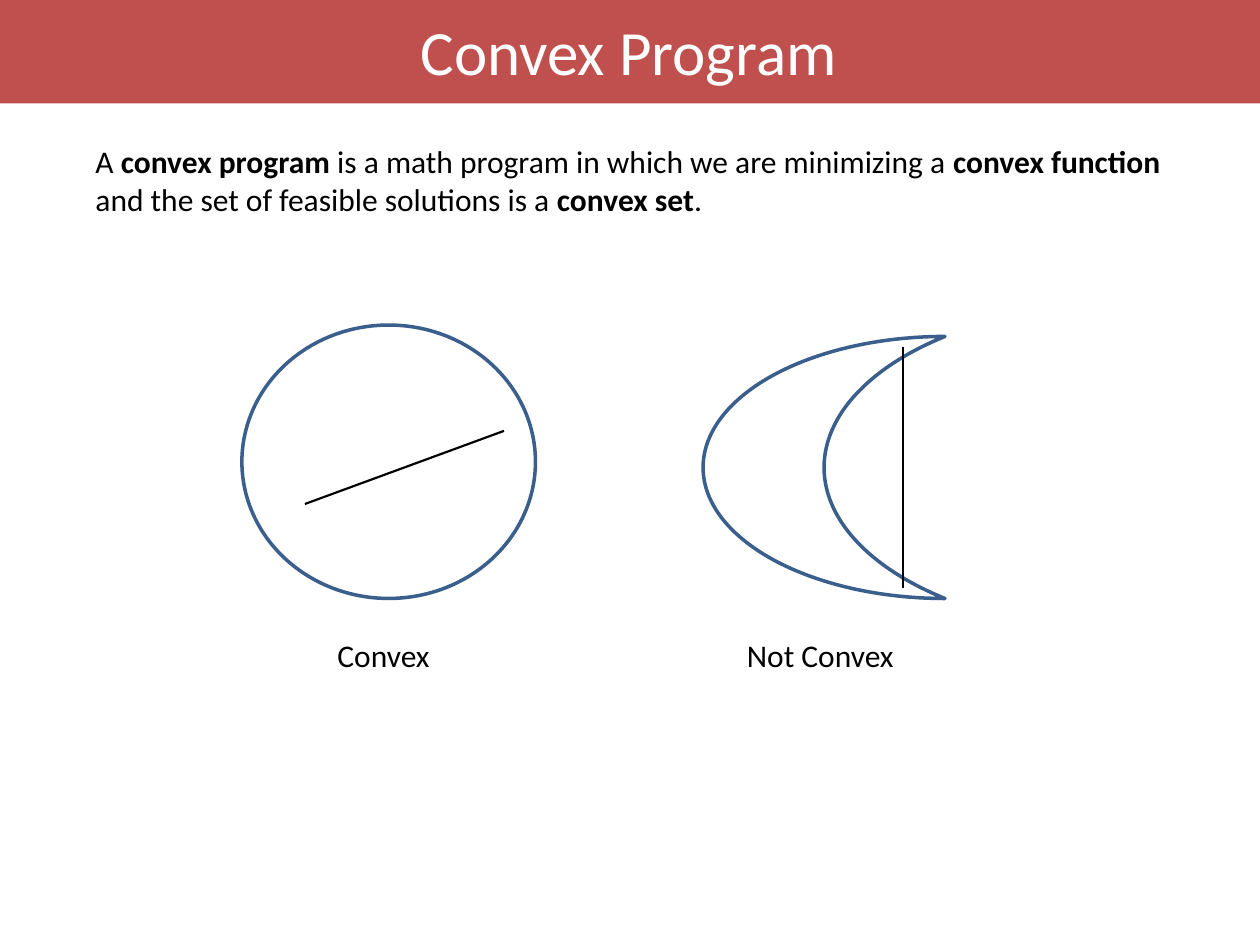
from lxml import etree
from pptx import Presentation
from pptx.dml.color import RGBColor
from pptx.enum import shapes, text
from pptx.oxml.ns import qn
from pptx.util import Inches, Pt


def color(hex_string):
    return RGBColor.from_string(hex_string)


def add_text(box, runs, size, hex_string, wrap=True):
    """Add a text box; runs is a list of (text, bold) pairs."""
    shape = slide.shapes.add_textbox(*map(Inches, box))
    frame = shape.text_frame
    frame.word_wrap = wrap
    frame.auto_size = text.MSO_AUTO_SIZE.SHAPE_TO_FIT_TEXT
    for content, bold in runs:
        run = frame.paragraphs[0].add_run()
        run.text = content
        run.font.name = "Calibri"
        run.font.size = Pt(size)
        run.font.bold = bold
        run.font.color.rgb = color(hex_string)
    return frame


presentation = Presentation()
presentation.slide_width = Inches(10)
presentation.slide_height = Inches(7.5)
slide = presentation.slides.add_slide(presentation.slide_layouts[6])

# Title band
band = slide.shapes.add_shape(
    shapes.MSO_SHAPE.RECTANGLE, Inches(-0.02), 0, Inches(10.02), Inches(0.82))
band.shadow.inherit = False
band.fill.solid()
band.fill.fore_color.rgb = color("C0504D")
band.line.fill.background()

title = add_text((3.22, 0.04, 3.54, 0.71), [("Convex Program", False)], 36, "FFFFFF", wrap=False)
title.vertical_anchor = text.MSO_ANCHOR.MIDDLE
title.paragraphs[0].alignment = text.PP_ALIGN.CENTER

# Definition
add_text((0.66, 1.08, 8.66, 0.71), [
    ("A ", False),
    ("convex program ", True),
    ("is a math program in which we are minimizing a ", False),
    ("convex function ", True),
    ("and the set of feasible solutions is a ", False),
    ("convex set", True),
    (".", False),
], 18, "000000")

# Example sets
for preset, box in [
    (shapes.MSO_SHAPE.OVAL, (1.92, 2.58, 2.33, 2.17)),
    (shapes.MSO_SHAPE.MOON, (5.58, 2.67, 1.92, 2.08)),
]:
    outline = slide.shapes.add_shape(preset, *map(Inches, box))
    outline.shadow.inherit = False
    outline.fill.background()
    outline.line.color.rgb = color("3A5F8C")
    outline.line.width = Pt(2)

for label, box in [
    ("Convex", (2.58, 5, 1.03, 0.4)),
    ("Not Convex", (5.83, 5, 1.47, 0.4)),
]:
    add_text(box, [(label, False)], 18, "000000")

# Segments between two points of each set
for ends in [(2.42, 4, 4, 3.42), (7.17, 2.75, 7.17, 4.67)]:
    segment = slide.shapes.add_connector(shapes.MSO_CONNECTOR.STRAIGHT, *map(Inches, ends))
    segment.line.color.rgb = color("000000")
    segment.line.width = Pt(1.25)
    etree.SubElement(segment._element.spPr, qn("a:effectLst"))

presentation.save("out.pptx")
